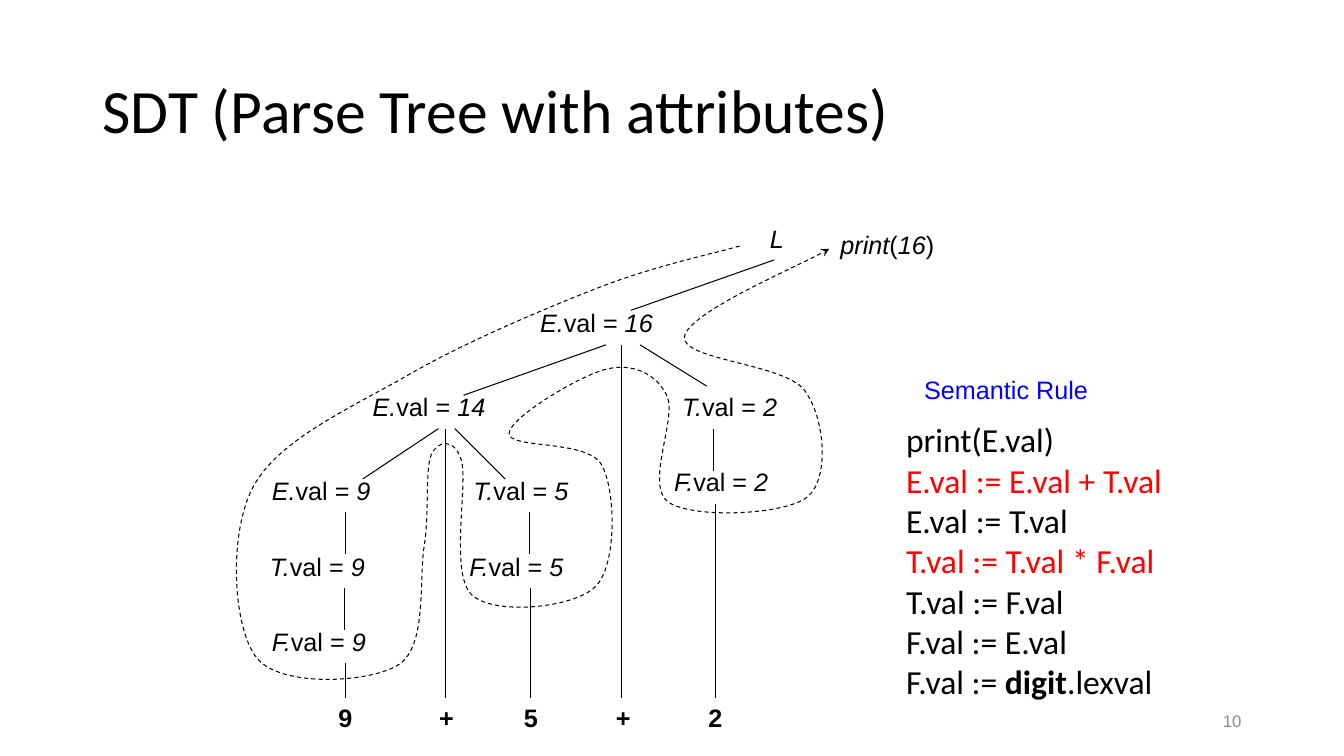
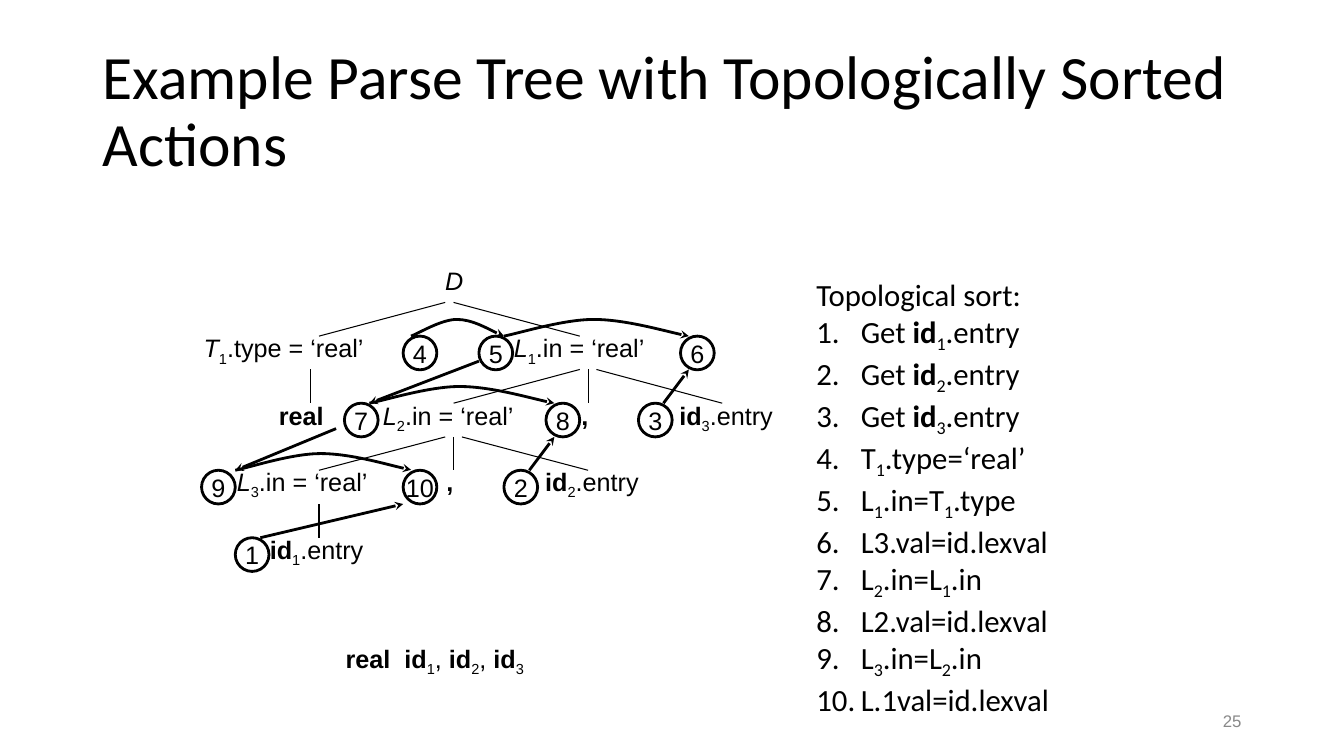
from dataclasses import dataclass

from lxml import etree
from pptx import Presentation
from pptx.dml.color import RGBColor
from pptx.enum.dml import MSO_LINE
from pptx.enum.shapes import MSO_CONNECTOR, MSO_SHAPE
from pptx.enum.text import MSO_ANCHOR, MSO_AUTO_SIZE, PP_ALIGN
from pptx.oxml.ns import qn
from pptx.util import Cm, Pt

STRAIGHT = MSO_CONNECTOR.STRAIGHT
OVAL = MSO_SHAPE.OVAL
DASH = MSO_LINE.DASH
TOP, MIDDLE = MSO_ANCHOR.TOP, MSO_ANCHOR.MIDDLE
LEFT, CENTER, RIGHT = PP_ALIGN.LEFT, PP_ALIGN.CENTER, PP_ALIGN.RIGHT
FIT, NO_FIT = MSO_AUTO_SIZE.SHAPE_TO_FIT_TEXT, MSO_AUTO_SIZE.NONE


@dataclass(frozen=True)
class Theme:
    ink: RGBColor = RGBColor(0, 0, 0)
    red: RGBColor = RGBColor(255, 0, 0)
    blue: RGBColor = RGBColor(0, 0, 255)
    grey: RGBColor = RGBColor(0x89, 0x89, 0x89)
    text_font: str = "Calibri"
    label_font: str = "Arial"
    title: int = 44
    rules: int = 24
    steps: int = 22
    label: int = 18
    number: int = 12
    thin: float = 0.75
    thick: float = 2


T = Theme()
LABEL_H = 1.02
NODE = 0.85
STEP_INDENT = 1.12


# Text: a line is a list of (text, marks); b bold, i italic, s subscript, r red
def write(p, runs, size, font, color=T.ink, align=LEFT):
    p.alignment = align
    for text, marks in runs:
        r = p.add_run()
        r.text = text
        fmt = {"name": font, "size": Pt(size), "bold": "b" in marks, "italic": "i" in marks}
        for key, value in fmt.items():
            setattr(r.font, key, value)
        r.font.color.rgb = T.red if "r" in marks else color
        if "s" in marks:
            r.font._element.set("baseline", "-25000")


def frame(sp, wrap, anchor, fit):
    tf = sp.text_frame
    fmt = {"word_wrap": wrap, "vertical_anchor": anchor, "auto_size": fit}
    for key, value in fmt.items():
        setattr(tf, key, value)
    return tf


def place(sp, x, y, w, h):
    for key, value in zip(("left", "top", "width", "height"), (x, y, w, h)):
        setattr(sp, key, Cm(value))


def label(s, x, y, w, runs, color=T.ink):
    sp = s.shapes.add_textbox(Cm(x), Cm(y), Cm(w), Cm(LABEL_H))
    write(frame(sp, False, TOP, FIT).paragraphs[0], runs, T.label, T.label_font, color)


def attribute(name, value):
    return [(f"{name}.", "i"), ("val = ", ""), (str(value), "i")]


def indexed(name, index, rest="", marks=""):
    return [(name, marks), (str(index), "s"), (rest, "")]


# Lines, curves and nodes
def style_line(line, width, arrow=False):
    line.color.rgb = T.ink
    line.width = Pt(width)
    if arrow:
        etree.SubElement(line._get_or_add_ln(), qn("a:tailEnd"), type="stealth")


def edge(s, x1, y1, x2, y2, width=T.thin, arrow=False):
    cn = s.shapes.add_connector(STRAIGHT, Cm(x1), Cm(y1), Cm(x2), Cm(y2))
    style_line(cn.line, width, arrow)
    etree.SubElement(cn._element.spPr, qn("a:effectLst"))


def curve(s, anchors, width, dash=None):
    """Draw a smooth arrow through the anchors (Catmull-Rom as Bezier)."""
    points = [(Cm(x), Cm(y)) for x, y in anchors]
    builder = s.shapes.build_freeform(*points[0])
    builder.add_line_segments(points[1:], close=False)
    sp = builder.convert_to_shape()
    sp.shadow.inherit = False
    sp.fill.background()
    if dash:
        sp.line.dash_style = dash
    style_line(sp.line, width, arrow=True)
    left, top = sp.left, sp.top
    last = len(points) - 1
    for i, segment in enumerate(sp._element.findall(".//" + qn("a:lnTo"))):
        before, a = points[max(i - 1, 0)], points[i]
        b, after = points[i + 1], points[min(i + 2, last)]
        controls = ([a[k] + (b[k] - before[k]) / 6 for k in (0, 1)],
                    [b[k] - (after[k] - a[k]) / 6 for k in (0, 1)])
        segment.tag = qn("a:cubicBezTo")
        for k, (x, y) in enumerate(controls):
            pt = etree.Element(qn("a:pt"), x=str(round(x - left)), y=str(round(y - top)))
            segment.insert(k, pt)


def node(s, number, x, y):
    sp = s.shapes.add_shape(OVAL, Cm(x), Cm(y), Cm(NODE), Cm(NODE))
    sp.shadow.inherit = False
    sp.fill.background()
    style_line(sp.line, T.thick)
    p = frame(sp, False, MIDDLE, NO_FIT).paragraphs[0]
    write(p, [(str(number), "")], T.label, T.label_font, align=CENTER)


# Shared slide parts
def new_slide(prs, title, number):
    s = prs.slides.add_slide(prs.slide_layouts[1])
    sp = s.shapes.title
    place(sp, 2.33, 1.01, 29.21, 3.68)
    p = frame(sp, True, MIDDLE, NO_FIT).paragraphs[0]
    p.line_spacing = 0.9
    write(p, [(title, "")], T.title, T.text_font)
    sp = s.shapes.add_textbox(Cm(23.92), Cm(17.66), Cm(7.62), Cm(LABEL_H))
    p = frame(sp, True, MIDDLE, NO_FIT).paragraphs[0]
    write(p, [(str(number), "")], T.number, T.label_font, T.grey, RIGHT)
    return s


def fill_body(s, box, lines, size, numbered_from=None):
    sp = s.placeholders[1]
    place(sp, *box)
    tf = frame(sp, False, TOP, NO_FIT)
    for i, runs in enumerate(lines):
        p = tf.paragraphs[0] if i == 0 else tf.add_paragraph()
        pPr = p._p.get_or_add_pPr()
        numbered = numbered_from is not None and i >= numbered_from
        indent = Cm(STEP_INDENT) if numbered else 0
        pPr.set("marL", str(indent))
        pPr.set("indent", str(-indent))
        if numbered:
            etree.SubElement(pPr, qn("a:buFont"), typeface=T.text_font)
            etree.SubElement(pPr, qn("a:buAutoNum"), type="arabicPeriod")
        else:
            etree.SubElement(pPr, qn("a:buNone"))
        p.space_before = Pt(0)
        write(p, runs, size, T.text_font)


# Slide: attribute values on the parse tree
def attribute_tree(prs):
    s = new_slide(prs, "SDT (Parse Tree with attributes)", 10)
    fill_body(s, (22.58, 10.44, 7.11, 7.44), [
        [("print(E.val)", "")],
        [("E.val := E.val + T.val", "r")],
        [("E.val := T.val", "")],
        [("T.val := T.val * F.val", "r")],
        [("T.val := F.val", "")],
        [("F.val := E.val", "")],
        [("F.val := ", ""), ("digit", "b"), (".lexval", "")],
    ], T.rules)
    label(s, 23.04, 9.32, 4.67, [("Semantic Rule", "")], T.blue)

    # Tree labels and input tokens
    label(s, 19.15, 5.51, 0.87, [("L", "i")])
    label(s, 20.93, 5.66, 2.9, [("print", "i"), ("(", ""), ("16", "i"), (")", "")])
    for name, value, x, y, w in (
            ("E", 16, 13.36, 7.62, 3.38), ("E", 14, 9.14, 9.73, 3.38),
            ("T", 2, 16.94, 9.73, 2.92), ("F", 2, 16.74, 11.63, 2.9),
            ("E", 9, 6.6, 11.86, 3.02), ("T", 9, 6.55, 13.77, 2.92),
            ("F", 9, 6.6, 15.67, 2.9), ("T", 5, 11.68, 11.86, 2.92),
            ("F", 5, 11.58, 13.77, 2.9)):
        label(s, x, y, w, attribute(name, value))
    token_y = 17.58
    for token, x in (("9", 8.28), ("+", 10.82), ("5", 12.95), ("+", 15.27), ("2", 17.6)):
        label(s, x, token_y, 0.87, [(token, "b")])

    # Slanted branches, then upright ones
    for ends in ((19.51, 6.55, 15.9, 7.82), (15.27, 8.69, 11.68, 9.96),
                 (16.13, 8.69, 17.81, 9.73), (11.05, 10.8, 9.14, 12.07),
                 (11.46, 10.8, 12.73, 12.07)):
        edge(s, *ends)
    for x, y1, y2 in ((11.23, 10.8, token_y), (15.67, 8.69, token_y),
                      (18.03, 12.7, token_y), (13.36, 14.81, token_y),
                      (8.71, 16.71, token_y), (8.71, 12.9, 13.97),
                      (8.69, 14.81, 15.88), (13.34, 12.9, 13.97),
                      (17.98, 10.8, 11.86)):
        edge(s, x, y1, x, y2)

    # Depth-first walk
    curve(s, [(18.64, 6.2), (15.11, 7.24), (10.29, 9.45), (6.38, 12.27),
              (6.48, 16.59), (10.06, 16.74), (10.69, 13.77), (10.87, 11.46),
              (11.63, 11.61), (11.89, 14.99), (15.01, 14.78), (15.16, 11.71),
              (12.83, 10.92), (15.29, 9.3), (16.81, 9.98), (16.84, 12.65),
              (20.35, 12.52), (20.27, 9.83), (17.25, 8.48), (20.9, 6.27)],
          T.thin, DASH)


# Slide: dependency graph and evaluation order
def sorted_actions(prs):
    s = new_slide(prs, "Example Parse Tree with Topologically Sorted Actions", 25)
    get_steps = [[("Get ", "")] + indexed("id", n, ".entry", "b") for n in (1, 2, 3)]
    fill_body(s, (20.32, 6.81, 6.45, 10.59), [
        [("Topological sort:", "")],
        *get_steps,
        indexed("T", 1, ".type=‘real’"),
        indexed("L", 1, ".in=T") + indexed("", 1, ".type"),
        [("L3.val=id.lexval", "")],
        indexed("L", 2, ".in=L") + indexed("", 1, ".in"),
        [("L2.val=id.lexval", "")],
        indexed("L", 3, ".in=L") + indexed("", 2, ".in"),
        [("L.1val=id.lexval", "")],
    ], T.steps, numbered_from=1)

    # Tree labels and the sentence parsed
    label(s, 10.97, 6.55, 0.97, [("D", "i")])
    label(s, 4.88, 8.26, 4.98, indexed("T", 1, ".type = ‘real’", "i"))
    for n, x, y in ((1, 12.7, 8.26), (2, 9.4, 9.96), (3, 5.72, 11.63)):
        label(s, x, y, 4.22, indexed("L", n, ".in = ‘real’", "i"))
    for n, x, y in ((1, 6.55, 13.34), (2, 13.49, 11.63), (3, 16.87, 9.96)):
        label(s, x, y, 2.92, indexed("id", n, ".entry", "b"))
    for text, x, y, w in (("real", 6.78, 9.96, 1.65), (",", 11, 11.63, 0.69),
                          (",", 14.4, 9.96, 0.69)):
        label(s, x, y, w, [(text, "b")])
    label(s, 8.46, 16.08, 5.92, indexed("real  id", 1, ", ", "b")
          + indexed("id", 2, ", ", "b") + indexed("id", 3, marks="b"))

    # Tree branches
    for ends in ((11.22, 7.62, 8.04, 8.47), (11.43, 7.62, 14.61, 8.47),
                 (15.03, 9.31, 18.2, 10.16), (7.83, 9.31, 7.83, 10.16),
                 (14.82, 9.31, 14.82, 10.16), (14.61, 9.31, 11.43, 10.16),
                 (11.43, 11.01, 11.43, 11.85), (8.04, 12.7, 8.04, 13.55),
                 (11.22, 11.01, 8.04, 11.85), (11.64, 11.01, 14.82, 11.85)):
        edge(s, *ends)

    # Dependency arrows
    for ends in ((12.07, 9.1, 9.31, 10.16), (8.47, 10.8, 5.93, 11.85),
                 (16.72, 10.16, 17.36, 9.31), (13.34, 11.85, 13.97, 11.01),
                 (6.56, 13.55, 10.16, 12.7)):
        edge(s, *ends, T.thick, True)
    for anchors in (((10.36, 8.47), (11.51, 8.05), (12.7, 8.47)),
                    ((5.93, 11.85), (8.08, 11.43), (10.36, 11.84)),
                    ((9.31, 10.16), (11.58, 9.74), (13.97, 10.16)),
                    ((12.7, 8.47), (14.96, 8.05), (17.36, 8.47))):
        curve(s, anchors, T.thick)

    # Numbered nodes
    nodes = ((5.93, 13.55), (12.7, 11.85), (16.09, 10.16), (10.16, 8.47),
             (12.07, 8.47), (17.15, 8.47), (8.68, 10.16), (13.76, 10.16),
             (5.08, 11.85), (10.16, 11.85))
    for number, (x, y) in enumerate(nodes, 1):
        node(s, number, x, y)


def main():
    prs = Presentation()
    prs.slide_width, prs.slide_height = Cm(33.87), Cm(19.05)
    attribute_tree(prs)
    sorted_actions(prs)
    prs.save("out.pptx")


if __name__ == "__main__":
    main()
